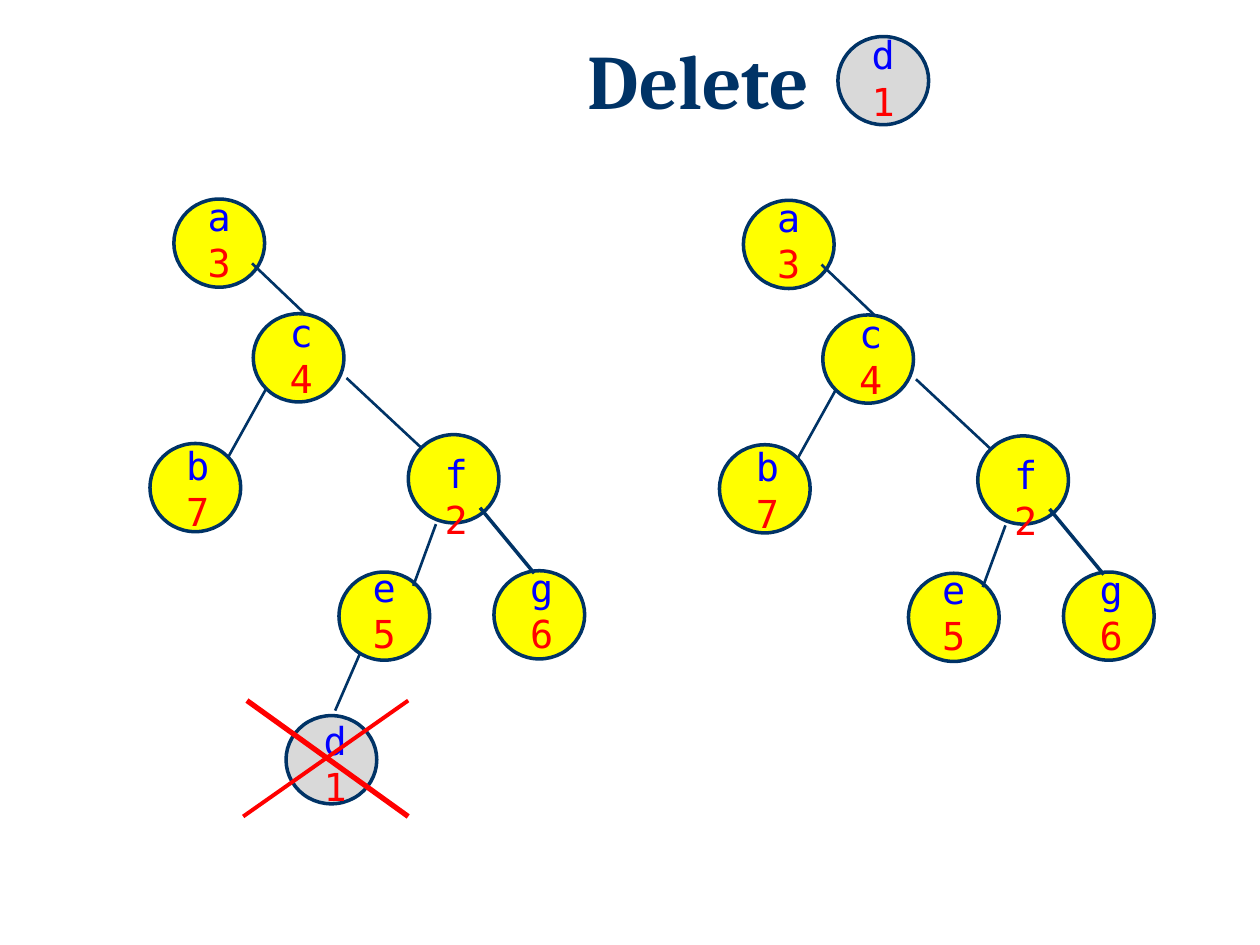
from dataclasses import dataclass
from lxml import etree
from pptx import Presentation
from pptx import util as u
from pptx.dml.color import RGBColor
from pptx.enum import shapes, text
from pptx.oxml.ns import qn


@dataclass(frozen=True)
class Theme:
    ink: str = "003366"
    key: str = "0000FF"
    priority: str = "FF0000"
    node: str = "FFFF00"
    removed: str = "D9D9D9"
    title_font: str = "Cambria"
    label_font: str = "DejaVu Sans Mono"
    title_size: int = 44
    label_size: int = 22
    outline: float = 2


T = Theme()
SLIDE = (10, 7.5)
NODE = (0.72, 0.7)
LABEL = (0.37, 0.84)
TITLE = "Delete "
TITLE_BOX = (1.61, 0.29, 8, 0.92)

# key: (priority, node left and top, label offset from node)
TREE = {
    "a": ("3", (1.38, 1.58), (0.17, -0.1)),
    "b": ("7", (1.19, 3.52), (0.19, -0.06)),
    "c": ("4", (2.01, 2.49), (0.19, -0.09)),
    "e": ("5", (2.69, 4.54), (0.17, -0.11)),
    "f": ("2", (3.24, 3.45), (0.19, 0.07)),
    "g": ("6", (3.92, 4.53), (0.19, -0.1)),
}
EDGES = [
    ((2, 2.09), (2.43, 2.5), 1.5),
    ((1.81, 3.63), (2.11, 3.09), 1.5),
    ((3.46, 4.16), (3.28, 4.65), 1.5),
    ((2.75, 3), (3.35, 3.56), 1.5),
    ((3.81, 4.03), (4.24, 4.55), 2),
]
TREE_SHIFTS = [(0, 0), (4.52, 0.01)]
REMOVED = ("d", "1")
REMOVED_NODES = [((6.65, 0.29), (0.17, -0.09)), ((2.27, 5.68), (0.2, -0.04))]
REMOVED_EDGE = ((2.86, 5.18), (2.66, 5.64), 1.5)
CROSS = [((1.96, 5.56), (3.24, 6.48), 3), ((1.93, 6.48), (3.24, 5.56), 2.25)]


def rgb(value):
    return RGBColor.from_string(value)


def inches(*values):
    return [u.Inches(v) for v in values]


def shift(point, offset):
    return point[0] + offset[0], point[1] + offset[1]


def add_run(p, content, font, size, color, bold=False):
    r = p.add_run()
    r.text = content
    r.font.name, r.font.size, r.font.bold = font, u.Pt(size), bold
    r.font.color.rgb = rgb(color)


def add_title(s):
    sp = s.shapes.title
    sp.left, sp.top, sp.width, sp.height = inches(*TITLE_BOX)
    tf = sp.text_frame
    tf.vertical_anchor = text.MSO_ANCHOR.TOP
    p = tf.paragraphs[0]
    p.alignment = text.PP_ALIGN.CENTER
    p.line_spacing = 0.9
    add_run(p, TITLE, T.title_font, T.title_size, T.ink, True)


def add_node(s, key, priority, at, label_offset, fill):
    sp = s.shapes.add_shape(shapes.MSO_SHAPE.OVAL, *inches(*at, *NODE))
    sp.shadow.inherit = False
    sp.fill.solid()
    sp.fill.fore_color.rgb = rgb(fill)
    sp.line.color.rgb = rgb(T.ink)
    sp.line.width = u.Pt(T.outline)
    tf = s.shapes.add_textbox(*inches(*shift(at, label_offset), *LABEL)).text_frame
    tf.word_wrap = False
    tf.auto_size = text.MSO_AUTO_SIZE.SHAPE_TO_FIT_TEXT
    add_run(tf.paragraphs[0], key, T.label_font, T.label_size, T.key)
    add_run(tf.add_paragraph(), priority, T.label_font, T.label_size, T.priority)


def add_line(s, start, end, width, color):
    line = s.shapes.add_connector(shapes.MSO_CONNECTOR.STRAIGHT, *inches(*start, *end))
    line.line.color.rgb = rgb(color)
    line.line.width = u.Pt(width)
    etree.SubElement(line._element.spPr, qn("a:effectLst"))


def main():
    prs = Presentation()
    prs.slide_width, prs.slide_height = inches(*SLIDE)
    s = prs.slides.add_slide(prs.slide_layouts[5])
    add_title(s)
    for at, label_offset in REMOVED_NODES:
        add_node(s, *REMOVED, at, label_offset, T.removed)
    for offset in TREE_SHIFTS:
        for key, (priority, at, label_offset) in TREE.items():
            add_node(s, key, priority, shift(at, offset), label_offset, T.node)
        for start, end, width in EDGES:
            add_line(s, shift(start, offset), shift(end, offset), width, T.ink)
    add_line(s, *REMOVED_EDGE, T.ink)
    for stroke in CROSS:
        add_line(s, *stroke, T.priority)
    prs.save("out.pptx")


if __name__ == "__main__":
    main()
